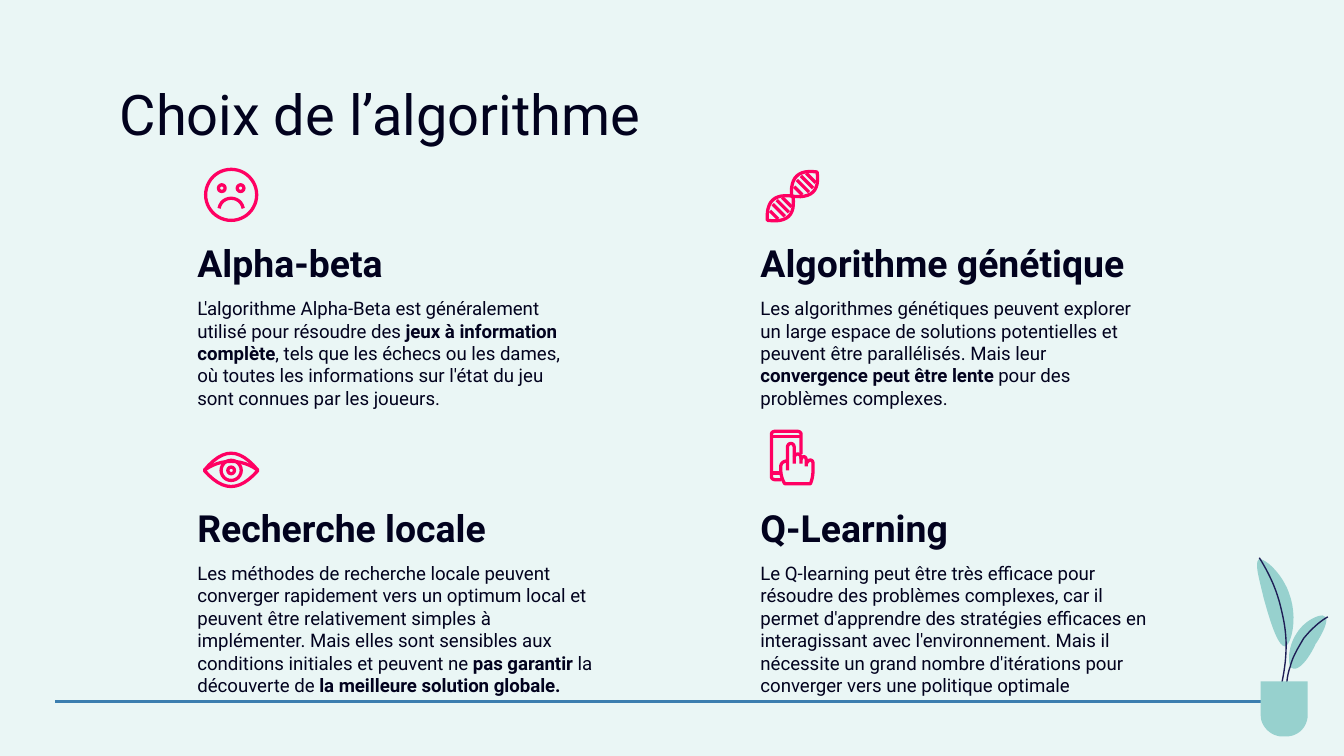
from dataclasses import dataclass

from lxml.etree import SubElement
from pptx import Presentation
from pptx.dml.color import RGBColor
from pptx.enum.shapes import MSO_CONNECTOR as Connector, MSO_SHAPE as Shape
from pptx.enum.text import MSO_ANCHOR as Anchor, MSO_AUTO_SIZE as AutoSize, PP_ALIGN as Align
from pptx.oxml.ns import qn
from pptx.util import Inches, Pt

FONT = "Roboto"
INK, PINK, LEAF, STEM = "02021E", "FF0062", "97D1CE", "1E1E56"
PAPER, GROUND = "EAF6F5", "3C7EAF"
COLUMNS = (1.37, 5.56)
ROWS = (1.81, 3.78)
CURVE_STEPS = 12


@dataclass(frozen=True)
class Card:
    """One algorithm; its spans are regular and bold in turn."""
    column: int
    row: int
    heading: str
    spans: tuple[str, ...]
    width: float = 3.07


@dataclass(frozen=True)
class Icon:
    """Stroked circles (centre x, centre y, diameter) and outlines."""
    circles: tuple[tuple[float, float, float], ...]
    outlines: tuple[str, ...]


CARDS = (
    Card(0, 0, "Alpha-beta", (
        "L'algorithme Alpha-Beta est généralement utilisé pour résoudre des ",
        "jeux à information complète",
        ", tels que les échecs ou les dames, où toutes les informations sur "
        "l'état du jeu sont connues par les joueurs.")),
    Card(1, 0, "Algorithme génétique", (
        "Les algorithmes génétiques peuvent explorer un large espace de solutions "
        "potentielles et peuvent être parallélisés. Mais leur ",
        "convergence peut être lente",
        " pour des problèmes complexes.")),
    Card(0, 1, "Recherche locale", (
        "Les méthodes de recherche locale peuvent converger rapidement vers un "
        "optimum local et peuvent être relativement simples à implémenter. Mais "
        "elles sont sensibles aux conditions initiales et peuvent ne ",
        "pas garantir ",
        "la découverte de ",
        "la meilleure solution globale."), 3.21),
    Card(1, 1, "Q-Learning", (
        "Le Q-learning peut être très efficace pour résoudre des problèmes "
        "complexes, car il permet d'apprendre des stratégies efficaces en "
        "interagissant avec l'environnement. Mais il nécessite un grand nombre "
        "d'itérations pour converger vers une politique optimale",)),
)

SAD_FACE = Icon(
    ((1.72, 1.45, 0.38), (1.65, 1.4, 0.05), (1.79, 1.4, 0.05)),
    ("M 1.63 1.55 C 1.65 1.45 1.79 1.45 1.81 1.55",))
EYE = Icon(
    ((1.72, 3.5, 0.05), (1.72, 3.5, 0.15)),
    ("M 1.52 3.5 C 1.66 3.33 1.78 3.33 1.92 3.5 C 1.78 3.66 1.66 3.66 1.52 3.5 Z",
     "M 1.52 3.5 C 1.64 3.41 1.8 3.41 1.92 3.5"))
PHONE = Icon((), (
    "M 5.81 3.57 L 5.77 3.57 C 5.75 3.57 5.74 3.56 5.74 3.55 L 5.74 3.23 "
    "C 5.74 3.22 5.75 3.21 5.77 3.21 L 5.93 3.21 C 5.95 3.21 5.96 3.22 5.96 3.23 "
    "L 5.96 3.38 M 5.74 3.25 L 5.96 3.25 M 5.74 3.52 L 5.81 3.52",
    "M 5.86 3.5 L 5.86 3.33 C 5.86 3.29 5.91 3.29 5.91 3.33 L 5.91 3.45 "
    "M 5.91 3.4 C 5.92 3.37 5.96 3.37 5.96 3.41 L 5.96 3.45 "
    "M 5.96 3.42 C 5.97 3.39 6 3.39 6 3.43 L 6 3.47 "
    "M 6 3.45 C 6.02 3.41 6.05 3.42 6.05 3.45 L 6.05 3.5 "
    "C 6.05 3.54 6.04 3.58 6.03 3.6 L 5.84 3.6 C 5.82 3.57 5.81 3.53 5.81 3.5 "
    "L 5.81 3.47 C 5.81 3.45 5.83 3.43 5.86 3.43"))
HELIX_LOBE = (
    "M 6.08 1.28 C 5.94 1.26 5.88 1.32 5.89 1.46 C 6.04 1.48 6.1 1.42 6.08 1.28 Z "
    "M 6 1.29 L 6.07 1.36 M 5.96 1.31 L 6.05 1.4 "
    "M 5.93 1.34 L 6.02 1.43 M 5.91 1.39 L 5.97 1.45")
HELIX_STEP = 0.18

LEAVES = (
    "M 9.37 4.16 C 9.33 4.18 9.37 4.31 9.4 4.44 C 9.43 4.55 9.5 4.81 9.56 4.81 "
    "C 9.61 4.8 9.66 4.59 9.59 4.41 C 9.54 4.27 9.42 4.16 9.37 4.16 Z",
    "M 9.84 4.58 C 9.79 4.58 9.7 4.63 9.65 4.71 C 9.58 4.81 9.58 4.95 9.61 4.97 "
    "C 9.67 5.01 9.76 4.86 9.79 4.79 C 9.8 4.78 9.9 4.62 9.86 4.59 Z")
STEMS = (
    "M 9.37 4.15 C 9.44 4.26 9.49 4.37 9.52 4.48 C 9.55 4.59 9.57 4.7 9.57 4.8 "
    "C 9.57 4.92 9.55 5.04 9.52 5.16",
    "M 9.88 4.59 C 9.81 4.63 9.75 4.69 9.7 4.75 C 9.66 4.82 9.62 4.88 9.6 4.96 "
    "C 9.57 5.04 9.57 5.13 9.57 5.22")
POT = ("M 9.38 5.07 L 9.38 5.32 C 9.38 5.41 9.46 5.48 9.54 5.48 L 9.57 5.48 "
       "C 9.66 5.48 9.73 5.41 9.73 5.32 L 9.73 5.07 Z")


def color(value: str) -> RGBColor:
    return RGBColor.from_string(value)


def paint(shape, fill: str | None = None, line: str | None = None, weight: float = 1.75) -> None:
    shape.shadow.inherit = False
    for part, value in ((shape.fill, fill), (shape.line.fill, line)):
        if value:
            part.solid()
            part.fore_color.rgb = color(value)
        else:
            part.background()
    if line:
        shape.line.width = Pt(weight)


def trace(shapes, outline: str, shift: float = 0):
    """Build a freeform from M, L, C and Z commands, moved left and down by shift."""
    def emu(x: float, y: float) -> tuple[int, int]:
        return Inches(x - shift), Inches(y + shift)

    builder, here = None, (0.0, 0.0)
    for command in outline.replace("M", "|M").replace("L", "|L").replace(
            "C", "|C").replace("Z", "|Z").split("|")[1:]:
        numbers = [float(number) for number in command[1:].split()]
        points = [here, *zip(numbers[::2], numbers[1::2])]
        here = points[-1]
        if command[0] == "M" and builder is None:
            builder = shapes.build_freeform(*emu(*here), scale=1.0)
        elif command[0] == "M":
            builder.move_to(*emu(*here))
        elif command[0] == "L":
            builder.add_line_segments([emu(*here)], close=False)
        elif command[0] == "C":
            steps = [step / CURVE_STEPS for step in range(1, CURVE_STEPS + 1)]
            weights = [((1 - t) ** 3, 3 * t * (1 - t) ** 2, 3 * t * t * (1 - t), t ** 3)
                       for t in steps]
            curve = [emu(*(sum(w * point[axis] for w, point in zip(row, points))
                           for axis in (0, 1))) for row in weights]
            builder.add_line_segments(curve, close=False)
        else:
            builder.add_line_segments([], close=True)
    return builder.convert_to_shape()


def draw_icon(page, icon: Icon) -> None:
    shapes = page.shapes.add_group_shape().shapes
    for x, y, size in icon.circles:
        circle = shapes.add_shape(Shape.OVAL, Inches(x - size / 2), Inches(y - size / 2),
                                  Inches(size), Inches(size))
        paint(circle, line=PINK)
    for outline in icon.outlines:
        paint(trace(shapes, outline), line=PINK)


def draw_plant(page) -> None:
    shapes = page.shapes.add_group_shape().shapes
    for leaf, stem in zip(LEAVES, STEMS):
        paint(trace(shapes, leaf), fill=LEAF)
        paint(trace(shapes, stem), line=STEM, weight=0.75)
    paint(trace(shapes, POT), fill=LEAF)


def write(box, spans: tuple[str, ...], size: float, bold: bool = False,
          anchor: Anchor = Anchor.TOP) -> None:
    frame = box.text_frame
    frame.word_wrap, frame.auto_size, frame.vertical_anchor = True, AutoSize.NONE, anchor
    frame.margin_left = frame.margin_right = frame.margin_top = frame.margin_bottom = Inches(0.1)
    para = frame.paragraphs[0]
    para.alignment = Align.LEFT
    for index, text in enumerate(spans):
        span = para.add_run()
        span.text = text
        span.font.name, span.font.size = FONT, Pt(size)
        span.font.bold = bold or index % 2 == 1
        span.font.color.rgb = color(INK)


def draw_card(page, card: Card) -> None:
    left, top = COLUMNS[card.column], ROWS[card.row]
    body = page.shapes.add_textbox(Inches(left), Inches(top + 0.3), Inches(card.width), Inches(0.96))
    write(body, card.spans, 10)
    heading = page.shapes.add_textbox(Inches(left), Inches(top), Inches(3.07), Inches(0.41))
    write(heading, (card.heading,), 20, bold=True, anchor=Anchor.BOTTOM)


def main() -> None:
    deck = Presentation()
    deck.slide_width, deck.slide_height = Inches(10), Inches(10 * 9 / 16)
    page = deck.slides.add_slide(deck.slide_layouts[5])
    page.background.fill.solid()
    page.background.fill.fore_color.rgb = color(PAPER)

    ground = page.shapes.add_connector(Connector.STRAIGHT, Inches(9.53), Inches(5.22),
                                       Inches(0.41), Inches(5.22))
    ground.line.color.rgb, ground.line.width = color(GROUND), Pt(1.5)
    SubElement(ground._element.spPr, qn("a:effectLst"))
    draw_plant(page)

    title = page.shapes.title
    title.left, title.top, title.width, title.height = map(Inches, (0.79, 0.49, 8.43, 0.63))
    write(title, ("Choix de l’algorithme",), 30)
    for card in CARDS:
        draw_card(page, card)
    for icon in (SAD_FACE, EYE, PHONE):
        draw_icon(page, icon)
    for shift in (0, HELIX_STEP):
        paint(trace(page.shapes, HELIX_LOBE, shift), line=PINK)
    deck.save("out.pptx")


if __name__ == "__main__":
    main()
